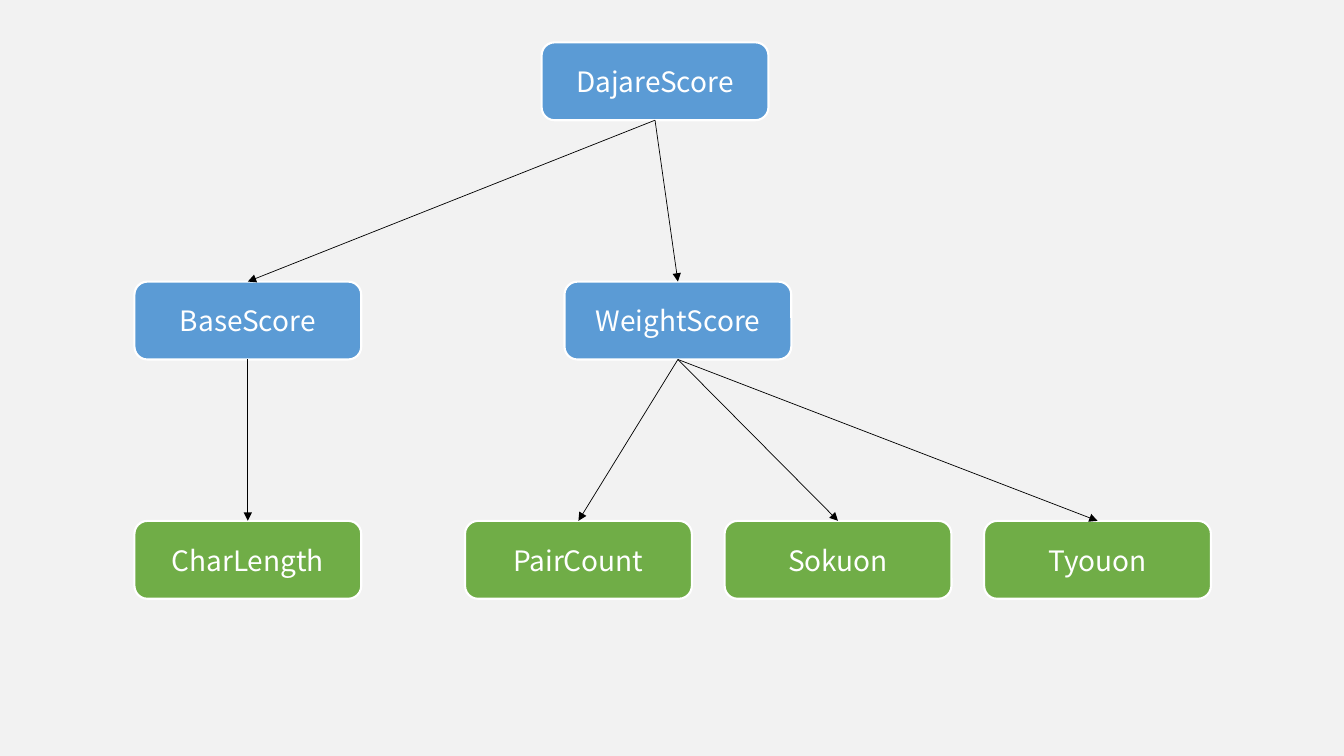
from dataclasses import dataclass

from lxml import etree
from pptx import Presentation
from pptx.dml.color import RGBColor
from pptx.enum.shapes import MSO_CONNECTOR, MSO_SHAPE
from pptx.enum.text import MSO_ANCHOR, PP_ALIGN
from pptx.oxml.ns import qn
from pptx.util import Inches, Pt

ROUND = MSO_SHAPE.ROUNDED_RECTANGLE
LINE = MSO_CONNECTOR.STRAIGHT
MIDDLE = MSO_ANCHOR.MIDDLE
CENTER = PP_ALIGN.CENTER
TOP, BOTTOM = 0, 2


@dataclass(frozen=True)
class Theme:
    """Colours, font and sizes of the slide."""
    back: str = "F2F2F2"
    score: str = "5B9BD5"
    leaf: str = "70AD47"
    light: str = "FFFFFF"
    dark: str = "000000"
    font: str = "Noto Sans CJK JP"
    size: float = 20
    rim: float = 1.5
    edge: float = 0.5


THEME = Theme()
WIDE, HIGH = Inches(13.33), Inches(7.5)
TREE = (0.1 * WIDE, 0.056 * HIGH, 0.8 * WIDE, 0.736 * HIGH)
NODE_W, NODE_H = 21.1, 14
ROW = 43
LEAF, STEP = 30.75, 24.14
NODES = [
    ("DajareScore", 37.87, 0, THEME.score),
    ("BaseScore", 0, 1, THEME.score),
    ("WeightScore", 40, 1, THEME.score),
    ("CharLength", 0, 2, THEME.leaf),
]
NODES += [(name, LEAF + STEP * i, 2, THEME.leaf)
          for i, name in enumerate(("PairCount", "Sokuon", "Tyouon"))]
LINKS = {
    "DajareScore": ("BaseScore", "WeightScore"),
    "BaseScore": ("CharLength",),
    "WeightScore": ("PairCount", "Sokuon", "Tyouon"),
}


def rgb(code):
    """Return the colour for a hex code."""
    return RGBColor.from_string(code)


def style(item, values):
    """Set each named format value on an item."""
    for key, value in values.items():
        setattr(item, key, value)


def paint(fill, code):
    """Give a fill one solid colour."""
    fill.solid()
    fill.fore_color.rgb = rgb(code)


def add_node(slide, box, name, col, row, color):
    """Place a labelled node by its percent column and its row in the box."""
    left, top, width, height = box
    cw, ch = width / 100, height / 100
    node = slide.shapes.add_shape(
        ROUND, round(left + col * cw), round(top + row * ROW * ch),
        round(NODE_W * cw), round(NODE_H * ch))
    node.shadow.inherit = False
    paint(node.fill, color)
    paint(node.line.fill, THEME.light)
    node.line.width = Pt(THEME.rim)
    frame = node.text_frame
    style(frame, {"word_wrap": True, "vertical_anchor": MIDDLE})
    para = frame.paragraphs[0]
    para.alignment = CENTER
    run = para.add_run()
    run.text = name
    style(run.font, {"name": THEME.font, "size": Pt(THEME.size)})
    run.font.color.rgb = rgb(THEME.light)
    return node


def add_link(slide, start, end):
    """Draw an arrow from the foot of one node to the top of another."""
    link = slide.shapes.add_connector(LINE, 0, 0, 0, 0)
    link.begin_connect(start, BOTTOM)
    link.end_connect(end, TOP)
    paint(link.line.fill, THEME.dark)
    link.line.width = Pt(THEME.edge)
    props = link.line._get_or_add_ln()
    etree.SubElement(props, qn("a:tailEnd"), type="triangle")
    etree.SubElement(link._element.spPr, qn("a:effectLst"))


def add_tree(slide, box):
    """Fill the box with the score tree."""
    nodes = {node[0]: add_node(slide, box, *node) for node in NODES}
    for start, ends in LINKS.items():
        for end in ends:
            add_link(slide, nodes[start], nodes[end])


def main():
    """Build and save the slide."""
    deck = Presentation()
    style(deck, {"slide_width": WIDE, "slide_height": HIGH})
    slide = deck.slides.add_slide(deck.slide_layouts[6])
    paint(slide.background.fill, THEME.back)
    add_tree(slide, TREE)
    deck.save("out.pptx")


if __name__ == "__main__":
    main()
